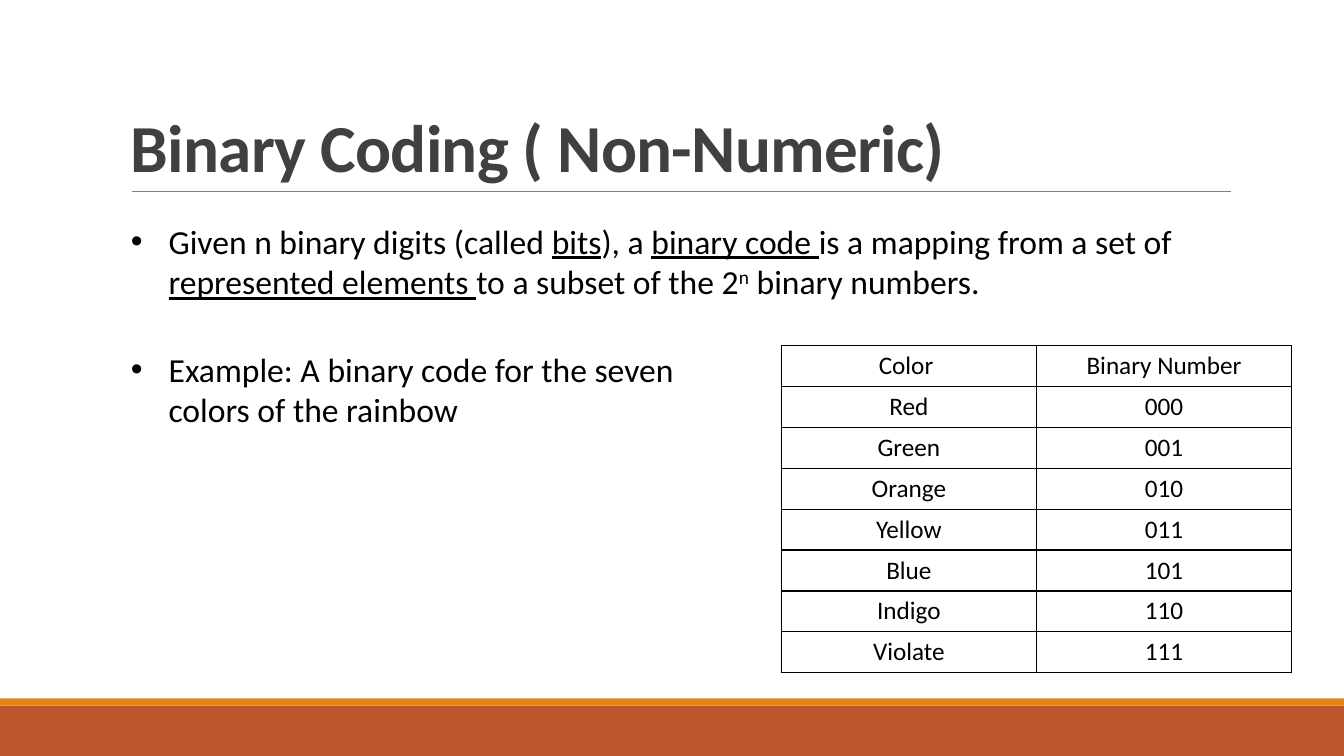
"""Build a slide on non-numeric binary coding with a table of colour codes."""
from lxml.etree import SubElement
from pptx import Presentation
from pptx.dml.color import RGBColor
from pptx.enum.shapes import MSO_CONNECTOR, MSO_SHAPE
from pptx.enum.text import MSO_ANCHOR, PP_ALIGN
from pptx.oxml.ns import qn
from pptx.util import Cm, Pt

COLOURS = {"band": "BD582C", "stripe": "E48312", "rule": "808080",
           "title": "404040", "text": "000000"}


def add_span(para, text, colour="text", **formats):
    """Add a run in Calibri with the given font formats."""
    span = para.add_run()
    span.text = text
    span.font.color.rgb = RGBColor.from_string(COLOURS[colour])
    for name, value in {"name": "Calibri", **formats}.items():
        setattr(span.font, name, value)
    return span


def add_box(left, top, width, height, anchor=MSO_ANCHOR.TOP):
    """Add a wrapping text box and return its first paragraph."""
    box = page.shapes.add_textbox(Cm(left), Cm(top), Cm(width), Cm(height))
    box.text_frame.word_wrap = True
    box.text_frame.vertical_anchor = anchor
    return box.text_frame.paragraphs[0]


deck = Presentation()
deck.slide_width, deck.slide_height = Cm(33.87), Cm(19.05)
page = deck.slides.add_slide(deck.slide_layouts[6])

for name, top, height in [("band", 17.78, 1.27), ("stripe", 17.6, 0.18)]:
    bar = page.shapes.add_shape(MSO_SHAPE.RECTANGLE, 0, Cm(top), deck.slide_width, Cm(height))
    bar.shadow.inherit = False
    bar.fill.solid()
    bar.fill.fore_color.rgb = RGBColor.from_string(COLOURS[name])
    bar.line.fill.background()

rule = page.shapes.add_connector(MSO_CONNECTOR.STRAIGHT, Cm(3.32), Cm(4.82), Cm(31.01), Cm(4.82))
rule.line.color.rgb = RGBColor.from_string(COLOURS["rule"])
rule.line.width = Pt(0.5)
SubElement(rule._element.spPr, qn("a:effectLst"))

title = add_box(3.05, 0.79, 27.94, 4.04, MSO_ANCHOR.BOTTOM)
title.line_spacing = 0.85
heading = add_span(title, "Binary Coding ( Non-Numeric)", "title", size=Pt(48), bold=True)
heading.font._element.set("spc", "-50")

codes = [("Color ", "Binary Number"), ("Red", "000"), ("Green", "001"), ("Orange", "010"),
         ("Yellow", "011"), ("Blue", "101"), ("Indigo", "110"), ("Violate", "111")]
row_height = Cm(1.03)
table = page.shapes.add_table(len(codes), 2, Cm(19.69), Cm(8.71), Cm(12.86),
                              row_height * len(codes)).table
table.first_row = table.horz_banding = False
for row, texts in zip(table.rows, codes):
    row.height = row_height
    for cell, text in zip(row.cells, texts):
        para = cell.text_frame.paragraphs[0]
        para.alignment = PP_ALIGN.CENTER
        add_span(para, text, size=Pt(18))
        properties = cell._tc.get_or_add_tcPr()
        for side in ("lnL", "lnR", "lnT", "lnB"):
            border = SubElement(properties, qn(f"a:{side}"), w=str(Pt(1)))
            fill = SubElement(border, qn("a:solidFill"))
            SubElement(fill, qn("a:srgbClr"), val=COLOURS["text"])
        cell.fill.background()

underlined = {"underline": True}
bullets = [
    (5.44, 27.69, [("Given n binary digits (called ", {}), ("bits", underlined), ("), a ", {}),
                   ("binary code ", underlined), ("is a mapping from a set of ", {}),
                   ("represented elements ", underlined), ("to a subset of the 2", {}),
                   ("n", {"superscript": True}), (" binary numbers.", {})]),
    (8.66, 14.3, [("Example: A binary code for the seven colors of the rainbow", {})]),
]
for top, width, spans in bullets:
    para = add_box(3.05, top, width, 2.31)
    layout = para._p.get_or_add_pPr()
    layout.set("marL", str(Cm(0.95)))
    layout.set("indent", str(-Cm(0.95)))
    SubElement(layout, qn("a:buFont"), typeface="Arial")
    SubElement(layout, qn("a:buChar"), char="•")
    for text, formats in spans:
        raised = "superscript" in formats
        span = add_span(para, text, size=Pt(24), underline=formats.get("underline"))
        if raised:
            span.font._element.set("baseline", "30000")

deck.save("out.pptx")
